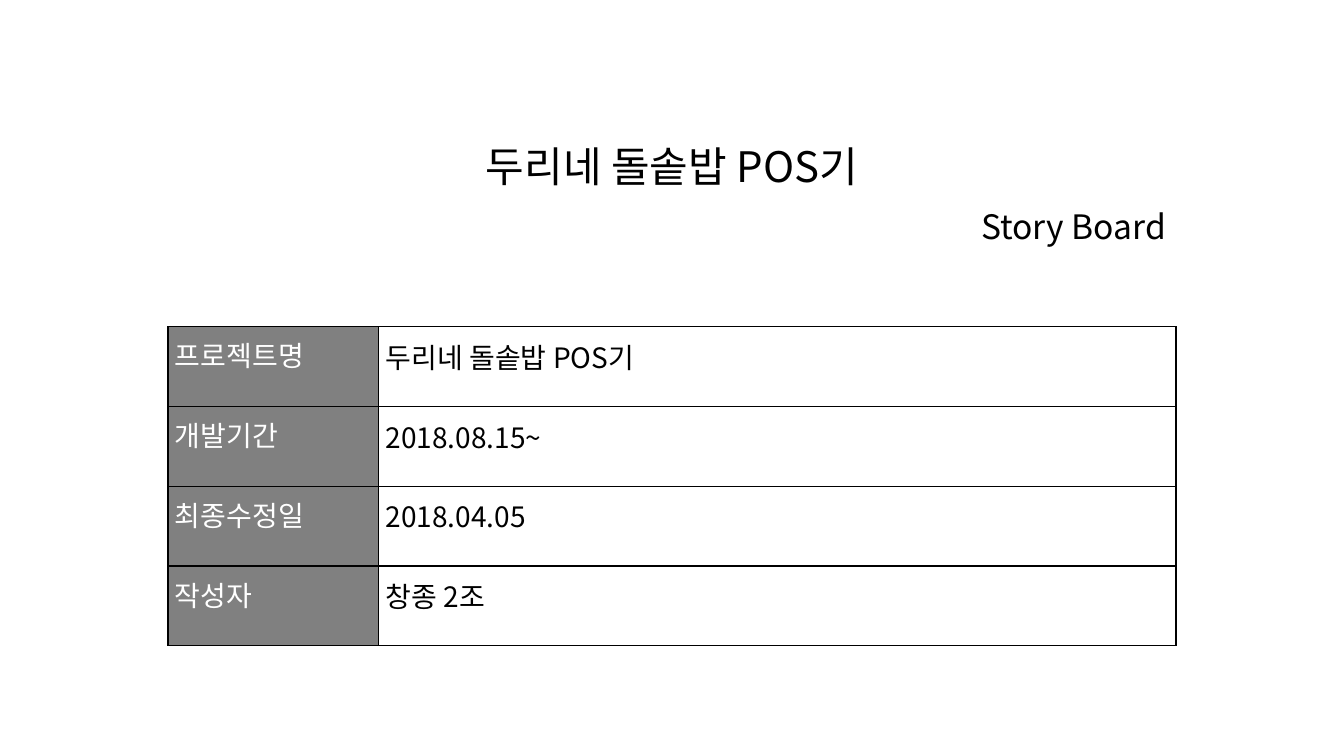
from lxml.etree import SubElement
from pptx import Presentation
from pptx.dml.color import RGBColor
from pptx.enum.text import MSO_ANCHOR as Anchor, PP_ALIGN as Align
from pptx.oxml.ns import qn
from pptx.util import Pt

PROJECT = "두리네 돌솥밥 POS기"
SUBTITLE = "Story Board"
DETAILS = [
    ("프로젝트명", PROJECT),
    ("개발기간", "2018.08.15~"),
    ("최종수정일", "2018.04.05"),
    ("작성자", "창종 2조"),
]

BLACK = RGBColor(0, 0, 0)
WHITE = RGBColor(255, 255, 255)
GRAY = RGBColor(128, 128, 128)
KOREAN, LATIN = "Noto Sans CJK KR", "Arial"

LEFT, WIDTH = 120, 720
TABLE_TOP, ROW_HEIGHT = 233.3, 57
LABEL_WIDTH = 150.5
# Per column: font, text colour, fill, line spacing in points
COLUMNS = [(LATIN, WHITE, GRAY, 12), (KOREAN, BLACK, None, 14)]


def add_run(paragraph, words, size, font_name, color):
    """Add one run, with its Korean glyphs in the Korean font."""
    run = paragraph.add_run()
    run.text = words
    run.font.size = Pt(size)
    run.font.name = font_name
    run.font.color.rgb = color
    SubElement(run.font._element, qn("a:ea"), typeface=KOREAN)


def add_heading(slide, words, top, height, size, align, anchor, before=0):
    """Add a heading as wide as the table."""
    frame = slide.shapes.add_textbox(
        Pt(LEFT), Pt(top), Pt(WIDTH), Pt(height)).text_frame
    frame.word_wrap = True
    frame.vertical_anchor = anchor
    paragraph = frame.paragraphs[0]
    paragraph.alignment = align
    paragraph.line_spacing = 0.9
    paragraph.space_before = Pt(before)
    add_run(paragraph, words, size, KOREAN, BLACK)


def add_borders(cell):
    """Draw a thin black line on all four sides, ahead of the fill."""
    properties = cell._tc.get_or_add_tcPr()
    for position, side in enumerate(("lnL", "lnR", "lnT", "lnB")):
        line = SubElement(properties, qn(f"a:{side}"), w=str(Pt(1)))
        fill = SubElement(line, qn("a:solidFill"))
        SubElement(fill, qn("a:srgbClr"), val=str(BLACK))
        properties.insert(position, line)


def fill_cell(cell, words, font_name, color, fill, spacing):
    """Write and style one table cell."""
    cell.vertical_anchor = Anchor.MIDDLE
    cell.margin_left = cell.margin_right = Pt(5)
    cell.margin_top = cell.margin_bottom = Pt(0.7)
    if fill is None:
        cell.fill.background()
    else:
        cell.fill.solid()
        cell.fill.fore_color.rgb = fill
    add_borders(cell)
    paragraph = cell.text_frame.paragraphs[0]
    paragraph.line_spacing = Pt(spacing)
    paragraph.space_after = Pt(6)
    add_run(paragraph, words, 20, font_name, color)


def add_details(slide):
    """Add the table of project details."""
    table = slide.shapes.add_table(
        len(DETAILS), len(COLUMNS), Pt(LEFT), Pt(TABLE_TOP),
        Pt(WIDTH), Pt(ROW_HEIGHT * len(DETAILS))).table
    table.first_row = table.horz_banding = False
    table.columns[0].width = Pt(LABEL_WIDTH)
    table.columns[1].width = Pt(WIDTH - LABEL_WIDTH)
    for row, detail in enumerate(DETAILS):
        for column, (words, style) in enumerate(zip(detail, COLUMNS)):
            fill_cell(table.cell(row, column), words, *style)


deck = Presentation()
deck.slide_width, deck.slide_height = Pt(960), Pt(540)
cover = deck.slides.add_slide(deck.slide_layouts[6])
add_heading(cover, PROJECT, 88.5, 52, 30, Align.CENTER, Anchor.BOTTOM)
add_heading(cover, SUBTITLE, 147, 42, 24, Align.RIGHT, Anchor.TOP, before=10)
add_details(cover)
deck.save("out.pptx")
